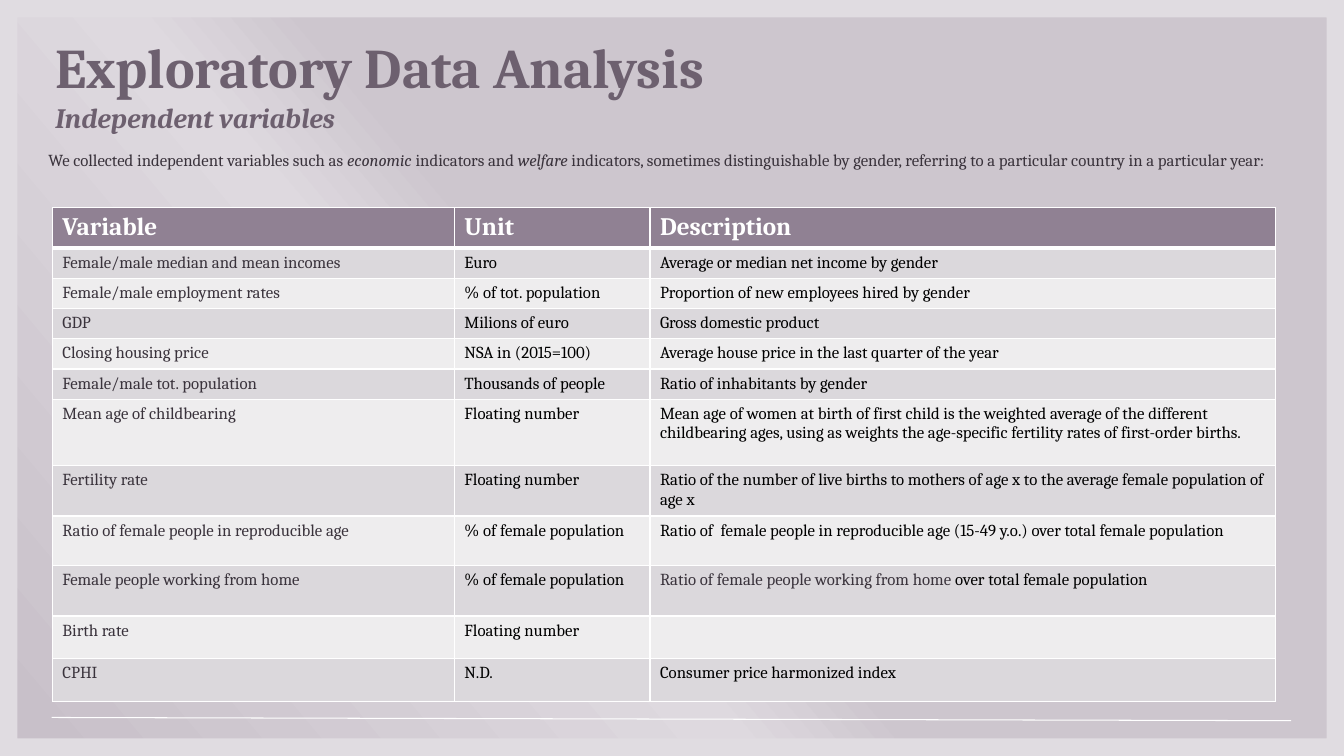
from dataclasses import dataclass
from lxml import etree
from pptx import Presentation
from pptx import util as u
from pptx.dml.color import RGBColor
from pptx.enum import shapes, text
from pptx.oxml import ns


@dataclass(frozen=True)
class Theme:
    font: str = "Cambria"
    title: str = "6D606F"
    ink: str = "3A333C"
    black: str = "000000"
    white: str = "FFFFFF"
    frame: str = "E0DCE1"
    header: str = "908193"
    bands: tuple = ("DBD8DC", "EEEDEE")
    backdrop: tuple = ((2, "C8C0C9"), (38, "DED9DF"), (47, "CDC6CE"), (100, "CDC6CE"))
    title_size: int = 40
    subtitle_size: int = 20
    header_size: int = 18
    body_size: int = 12


def add_text(paragraph, wording, *, font, size, color, bold=False, italic=False):
    run = paragraph.add_run()
    run.text = wording
    run.font.name = font
    run.font.size = u.Pt(size)
    run.font.color.rgb = RGBColor.from_string(color)
    run.font.bold = bold
    run.font.italic = italic


def child(parent, tag, **attributes):
    return etree.SubElement(parent, ns.qn(tag), **attributes)


class VariablesSlide:
    """Holds the theme and the slide, and adds each kind of element to it."""

    def __init__(self, deck, theme):
        self.theme = theme
        self.width, self.height = deck.slide_width, deck.slide_height
        self.slide = deck.slides.add_slide(deck.slide_layouts[5])

    def phrase(self, paragraph, wording, **changes):
        look = dict(font=self.theme.font, size=self.theme.body_size, color=self.theme.ink)
        add_text(paragraph, wording, **{**look, **changes})

    def backdrop(self, angle):
        fill = self.slide.background.fill
        fill.gradient()
        fill.gradient_angle = angle
        stops = self.slide.background._cSld.find(".//" + ns.qn("a:gsLst"))
        for stop in list(stops):
            stops.remove(stop)
        for percent, color in self.theme.backdrop:
            stop = child(stops, "a:gs", pos=str(percent * 1000))
            child(stop, "a:srgbClr", val=color)

    def frame(self, margin):
        right, bottom = self.width - margin, self.height - margin
        builder = self.slide.shapes.build_freeform(margin, margin)
        builder.add_line_segments([(margin, bottom), (right, bottom), (right, margin)])
        builder.move_to(0, 0)
        builder.add_line_segments([(self.width, 0), (self.width, self.height), (0, self.height)])
        border = builder.convert_to_shape()
        border.shadow.inherit = False
        border.fill.solid()
        border.fill.fore_color.rgb = RGBColor.from_string(self.theme.frame)
        border.line.fill.background()

    def title(self, heading, subheading, left, top, width, height):
        title = self.slide.shapes.title
        title.left, title.top, title.width, title.height = left, top, width, height
        body = title.text_frame
        body.word_wrap = True
        body.auto_size = text.MSO_AUTO_SIZE.NONE
        body.vertical_anchor = text.MSO_ANCHOR.TOP
        lines = (body.paragraphs[0], body.add_paragraph())
        for line in lines:
            line.alignment = text.PP_ALIGN.LEFT
        look = dict(color=self.theme.title, bold=True)
        self.phrase(lines[0], heading, size=self.theme.title_size, **look)
        self.phrase(lines[1], subheading, size=self.theme.subtitle_size, italic=True, **look)

    def intro(self, phrases, left, top, width, height):
        body = self.slide.shapes.add_textbox(left, top, width, height).text_frame
        body.word_wrap = True
        for index, phrase in enumerate(phrases):
            self.phrase(body.paragraphs[0], phrase, italic=index % 2 == 1)

    def cell(self, cell, fill, top=1, bottom=1):
        cell.fill.solid()
        cell.fill.fore_color.rgb = RGBColor.from_string(fill)
        properties = cell._tc.get_or_add_tcPr()
        edges = (("a:lnL", 1), ("a:lnR", 1), ("a:lnT", top), ("a:lnB", bottom))
        for index, (tag, points) in enumerate(edges):
            edge = child(properties, tag, w=str(u.Pt(points)))
            child(child(edge, "a:solidFill"), "a:srgbClr", val=self.theme.white)
            properties.insert(index, edge)

    def table(self, header, variables, widths, heights, left, top):
        theme = self.theme
        grid = self.slide.shapes.add_table(
            len(heights), len(widths), left, top, sum(widths), sum(heights)).table
        for column, width in zip(grid.columns, widths):
            column.width = width
        for row, height in zip(grid.rows, heights):
            row.height = height
        for column, label in enumerate(header):
            cell = grid.cell(0, column)
            self.cell(cell, theme.header, bottom=3)
            self.phrase(cell.text_frame.paragraphs[0], label,
                        size=theme.header_size, color=theme.white, bold=True)
        for row, entries in enumerate(variables, 1):
            for column, entry in enumerate(entries):
                cell = grid.cell(row, column)
                self.cell(cell, theme.bands[(row - 1) % 2], top=3 if row == 1 else 1)
                color = theme.black if column else theme.ink
                parts = entry if isinstance(entry, tuple) else ((entry, color),)
                for wording, part_color in parts:
                    if wording:
                        self.phrase(cell.text_frame.paragraphs[0], wording, color=part_color)

    def rule(self, *ends):
        rule = self.slide.shapes.add_connector(shapes.MSO_CONNECTOR.STRAIGHT, *ends)
        rule.line.color.rgb = RGBColor.from_string(self.theme.white)
        rule.line.width = u.Pt(0.75)
        child(rule._element.spPr, "a:effectLst")


def main():
    theme = Theme()
    deck = Presentation()
    deck.slide_width, deck.slide_height = u.Cm(33.87), u.Cm(19.05)
    page = VariablesSlide(deck, theme)
    page.backdrop(40)
    page.frame(u.Cm(0.44))
    page.title("Exploratory Data Analysis", "Independent variables",
               u.Cm(1.14), u.Cm(0.7), u.Cm(22.94), u.Cm(4.7))
    page.intro(("We collected independent variables such as ", "economic", " indicators and ",
                "welfare", " indicators, sometimes distinguishable by gender, "
                "referring to a particular country in a particular year:"),
               u.Cm(0.97), u.Cm(3.66), u.Cm(31.22), u.Cm(2.06))
    variables = (
        ("Female/male median and mean incomes", "Euro", "Average or median net income by gender"),
        ("Female/male employment rates", "% of tot. population",
         "Proportion of new employees hired by gender"),
        ("GDP", "Milions of euro", "Gross domestic product"),
        ("Closing housing price", "NSA in (2015=100)",
         "Average house price in the last quarter of the year"),
        ("Female/male tot. population", "Thousands of people", "Ratio of inhabitants by gender"),
        ("Mean age of childbearing", "Floating number",
         "Mean age of women at birth of first child is the weighted average of the different "
         "childbearing ages, using as weights the age-specific fertility rates of "
         "first-order births."),
        ("Fertility rate", "Floating number",
         "Ratio of the number of live births to mothers of age x to the average female "
         "population of age x"),
        ("Ratio of female people in reproducible age", "% of female population",
         "Ratio of  female people in reproducible age (15-49 y.o.) over total female population"),
        ("Female people working from home", "% of female population",
         (("Ratio of female people working from home ", theme.ink),
          ("over total female population", theme.black))),
        ("Birth rate", "Floating number", ""),
        ("CPHI", "N.D.", "Consumer price harmonized index"),
    )
    widths = [u.Cm(width) for width in (10.13, 4.93, 15.77)]
    heights = [u.Cm(height) for height in
               (1.01, *[0.76] * 5, 1.67, 1.25, 1.25, 1.27, 1.07, 1.08)]
    page.table(("Variable", "Unit", "Description"), variables, widths, heights,
               u.Cm(1.32), u.Cm(5.23))
    page.rule(u.Cm(1.3), u.Cm(18.08), u.Cm(32.54), u.Cm(18.16))
    deck.save("out.pptx")


if __name__ == "__main__":
    main()
